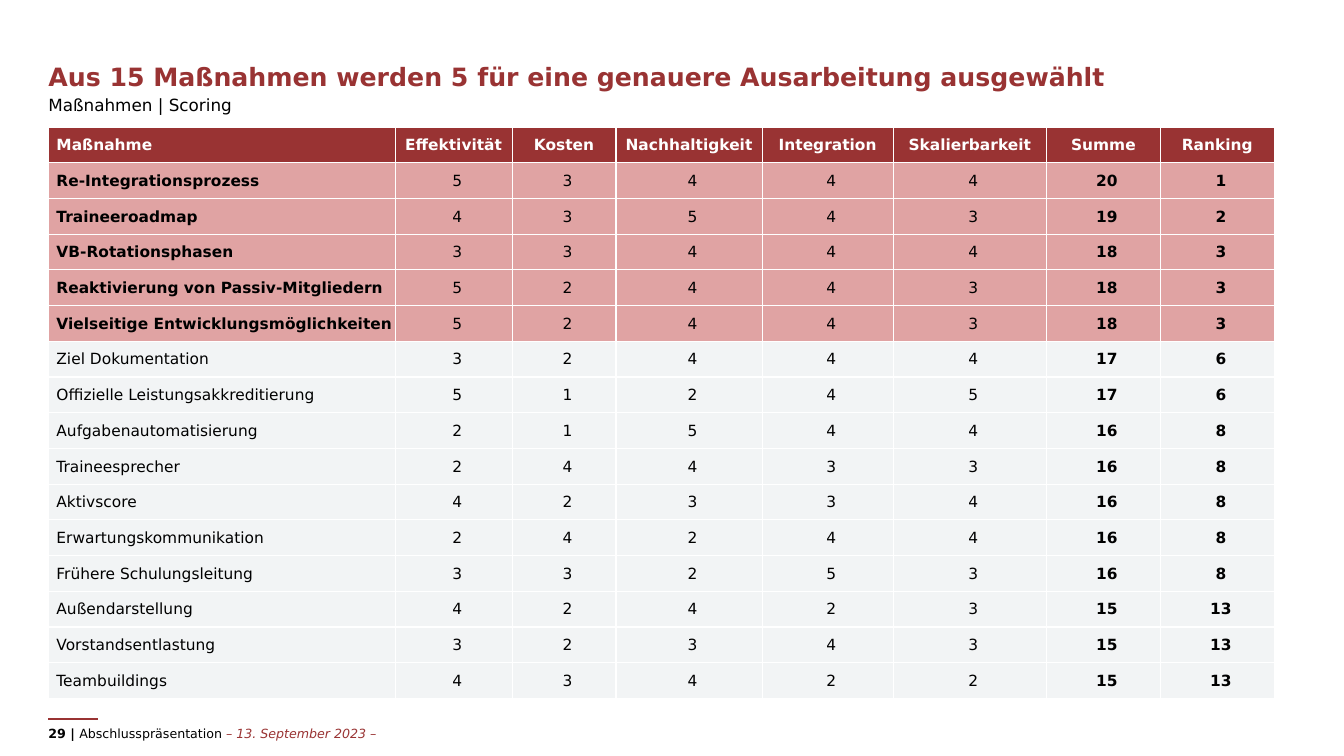
import lxml.etree
import pptx
import pptx.dml.color
import pptx.enum.shapes
import pptx.enum.text
import pptx.oxml.ns
import pptx.util

Inches = pptx.util.Inches
Pt = pptx.util.Pt
RGBColor = pptx.dml.color.RGBColor
Anchor = pptx.enum.text.MSO_ANCHOR
qn = pptx.oxml.ns.qn

RED = RGBColor(0x99, 0x33, 0x33)
PINK = RGBColor(0xE0, 0xA3, 0xA3)
GREY = RGBColor(0xF2, 0xF4, 0xF5)
BLACK = RGBColor(0, 0, 0)
WHITE = RGBColor(0xFF, 0xFF, 0xFF)

FONT = "DejaVu Sans"
LEFT = 0.48
TEXT_WIDTH = 12.37
SELECTED_COUNT = 5
COLUMN_WIDTHS = [3.44, 1.16, 1.03, 1.45, 1.3, 1.52, 1.13, 1.13]
TABLE_HEIGHT = 5.67
HEADERS = ["Maßnahme", "Effektivität", "Kosten", "Nachhaltigkeit",
           "Integration", "Skalierbarkeit", "Summe", "Ranking"]
MEASURES = [
    ("Re-Integrationsprozess", [5, 3, 4, 4, 4]),
    ("Traineeroadmap", [4, 3, 5, 4, 3]),
    ("VB-Rotationsphasen", [3, 3, 4, 4, 4]),
    ("Reaktivierung von Passiv-Mitgliedern", [5, 2, 4, 4, 3]),
    ("Vielseitige Entwicklungsmöglichkeiten", [5, 2, 4, 4, 3]),
    ("Ziel Dokumentation", [3, 2, 4, 4, 4]),
    ("Offizielle Leistungsakkreditierung", [5, 1, 2, 4, 5]),
    ("Aufgabenautomatisierung", [2, 1, 5, 4, 4]),
    ("Traineesprecher", [2, 4, 4, 3, 3]),
    ("Aktivscore", [4, 2, 3, 3, 4]),
    ("Erwartungskommunikation", [2, 4, 2, 4, 4]),
    ("Frühere Schulungsleitung", [3, 3, 2, 5, 3]),
    ("Außendarstellung", [4, 2, 4, 2, 3]),
    ("Vorstandsentlastung", [3, 2, 3, 4, 3]),
    ("Teambuildings", [4, 3, 4, 2, 2]),
]


def set_font(font, size, color, bold=False):
    """Set typeface, size, colour and weight."""
    font.name = FONT
    font.size = Pt(size)
    font.color.rgb = color
    font.bold = bold


def add_text(slide, top, height, text, size, color, bold=False, anchor=Anchor.TOP):
    """Add a one-line text box at the left margin and return its paragraph."""
    box = slide.shapes.add_textbox(
        Inches(LEFT), Inches(top), Inches(TEXT_WIDTH), Inches(height))
    frame = box.text_frame
    frame.word_wrap = True
    frame.vertical_anchor = anchor
    frame.margin_left = frame.margin_right = 0
    paragraph = frame.paragraphs[0]
    paragraph.text = text
    set_font(paragraph.font, size, color, bold)
    return paragraph


def add_footer(slide):
    """Add the short rule and the footer line with page number and date."""
    rule = slide.shapes.add_connector(
        pptx.enum.shapes.MSO_CONNECTOR.STRAIGHT,
        Inches(LEFT), Inches(7.13), Inches(0.97), Inches(7.13))
    rule.line.color.rgb = RED
    rule.line.width = Pt(1.5)
    lxml.etree.SubElement(rule._element.spPr, qn("a:effectLst"))
    paragraph = add_text(slide, 7.15, 0.25, "", 9, BLACK, anchor=Anchor.MIDDLE)
    page = paragraph.add_run()
    page.text = "29 | "
    page.font.bold = True
    paragraph.add_run().text = "Abschlusspräsentation "
    date = paragraph.add_run()
    date.text = "– 13. September 2023 –"
    date.font.italic = True
    date.font.color.rgb = RED


def add_borders(cell):
    """Draw white one-point borders on all sides of a cell."""
    properties = cell._tc.get_or_add_tcPr()
    for side in ("a:lnL", "a:lnR", "a:lnT", "a:lnB"):
        line = lxml.etree.SubElement(properties, qn(side), w=str(Pt(1)))
        fill = lxml.etree.SubElement(line, qn("a:solidFill"))
        lxml.etree.SubElement(fill, qn("a:srgbClr"), val=str(WHITE))


def fill_cell(cell, text, fill, color, bold, centred, margin_left):
    """Write and format one table cell."""
    add_borders(cell)
    cell.fill.solid()
    cell.fill.fore_color.rgb = fill
    cell.vertical_anchor = Anchor.MIDDLE
    cell.margin_left = Inches(margin_left)
    cell.margin_top = cell.margin_right = Inches(0.01)
    cell.margin_bottom = 0
    paragraph = cell.text_frame.paragraphs[0]
    paragraph.text = str(text)
    if centred:
        paragraph.alignment = pptx.enum.text.PP_ALIGN.CENTER
    set_font(paragraph.font, 11, color, bold)


def scoring_rows():
    """Return the table rows with sums and rankings worked out."""
    totals = [sum(scores) for _, scores in MEASURES]
    rows = [HEADERS]
    for (name, scores), total in zip(MEASURES, totals):
        ranking = 1 + sum(other > total for other in totals)
        rows.append([name, *scores, total, ranking])
    return rows


def add_scoring_table(slide):
    """Add the scoring table with the selected measures highlighted."""
    rows = scoring_rows()
    table = slide.shapes.add_table(
        len(rows), len(HEADERS), Inches(LEFT), Inches(1.26),
        Inches(sum(COLUMN_WIDTHS)), Inches(TABLE_HEIGHT)).table
    table.horz_banding = False
    for column, width in zip(table.columns, COLUMN_WIDTHS):
        column.width = Inches(width)
    for row_index, values in enumerate(rows):
        header = row_index == 0
        selected = 1 <= row_index <= SELECTED_COUNT
        fill = RED if header else PINK if selected else GREY
        for column_index, value in enumerate(values):
            first = column_index == 0
            bold = header or column_index >= 6 or (first and selected)
            fill_cell(table.cell(row_index, column_index), value, fill,
                      WHITE if header else BLACK, bold, not first,
                      0.01 if header and not first else 0.08)


def main():
    """Build and save the scoring slide."""
    presentation = pptx.Presentation()
    presentation.slide_width = Inches(13.33)
    presentation.slide_height = Inches(7.5)
    slide = presentation.slides.add_slide(presentation.slide_layouts[6])
    add_footer(slide)
    subtitle = add_text(slide, 0.91, 0.31, "Maßnahmen | Scoring", 12, BLACK)
    title = add_text(
        slide, 0.2, 0.76,
        "Aus 15 Maßnahmen werden 5 für eine genauere Ausarbeitung ausgewählt",
        18, RED, bold=True, anchor=Anchor.BOTTOM)
    subtitle.line_spacing = title.line_spacing = 0.9
    add_scoring_table(slide)
    presentation.save("out.pptx")


if __name__ == "__main__":
    main()
